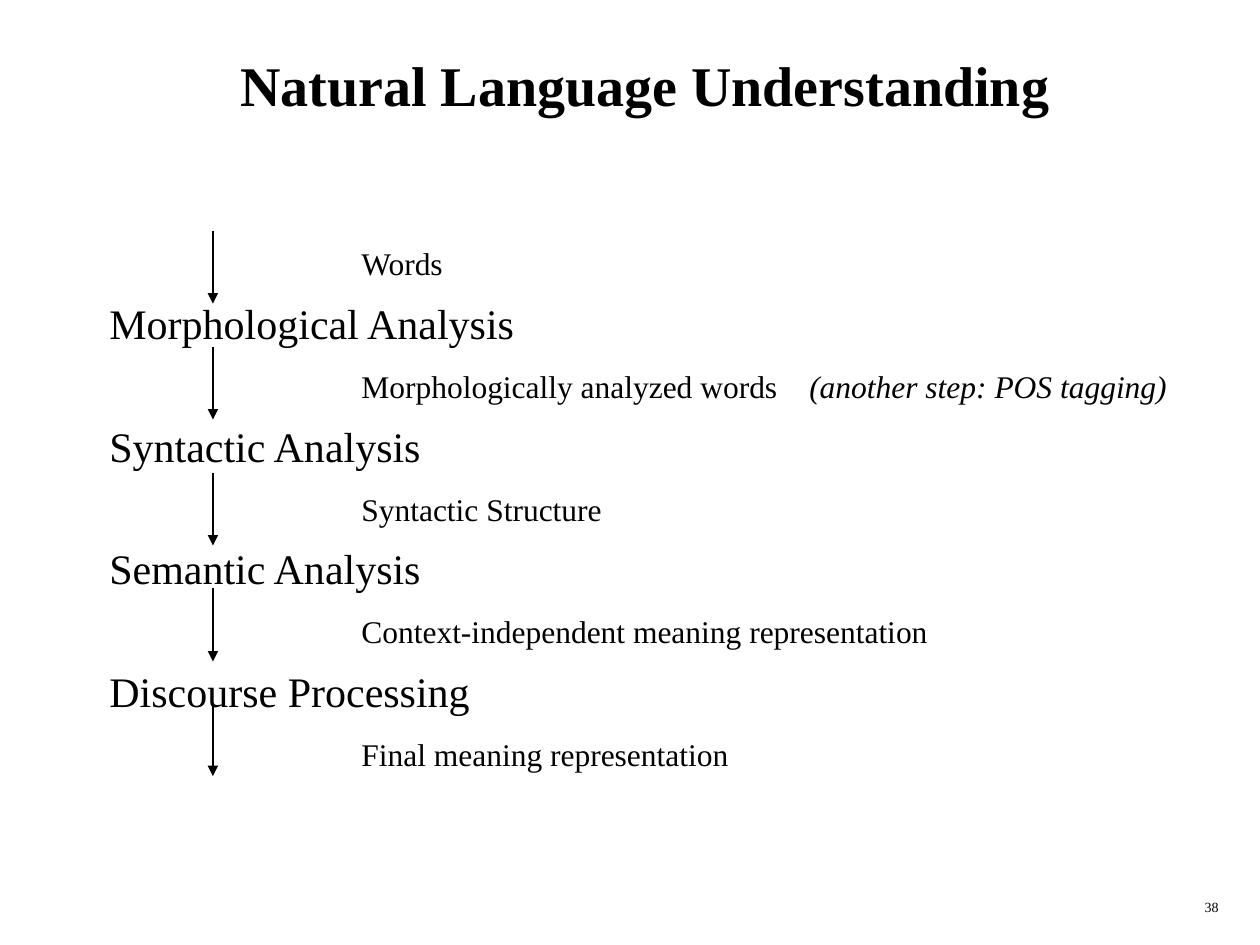
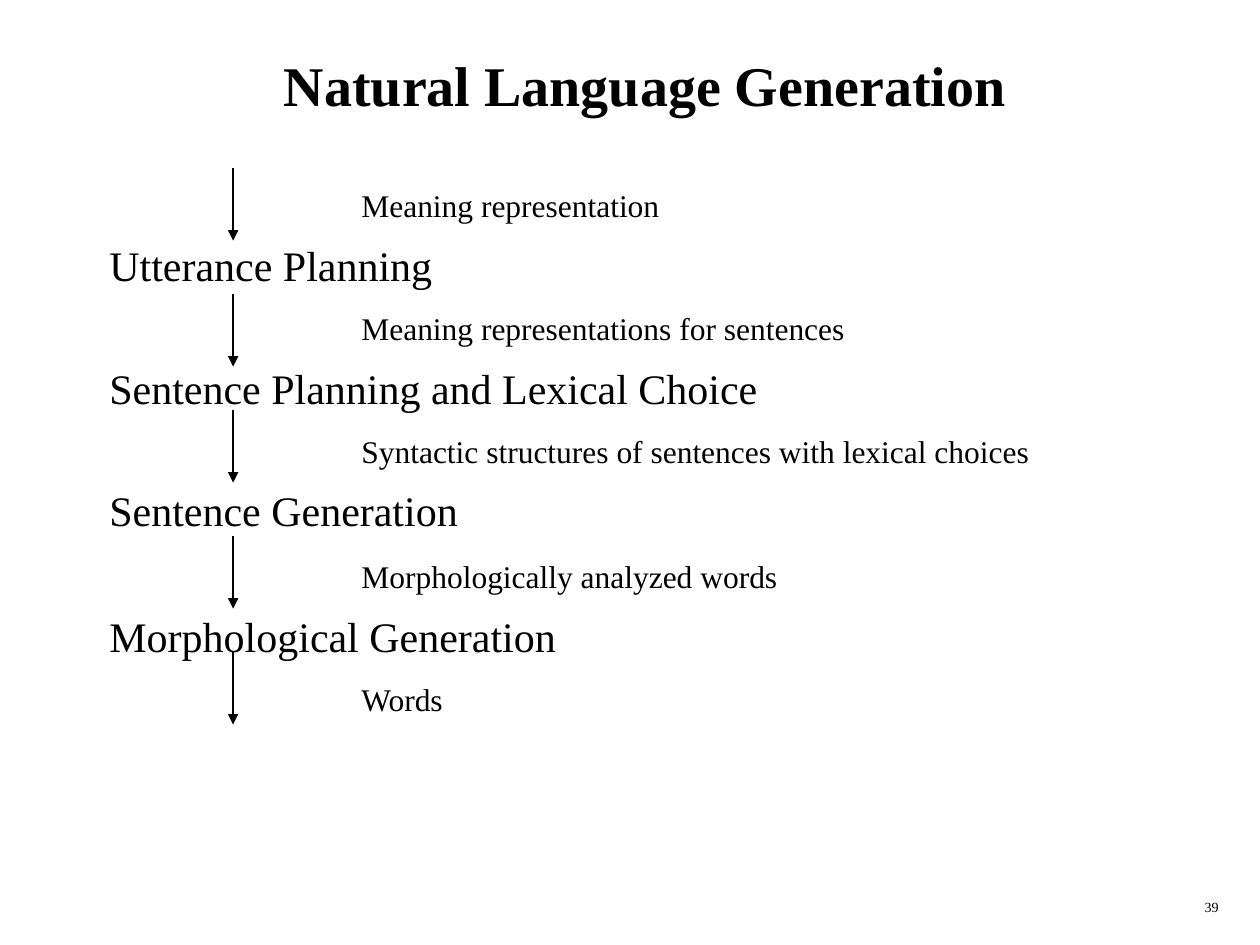
from lxml import etree
from pptx import Presentation
from pptx.dml.color import RGBColor
from pptx.enum.shapes import MSO_CONNECTOR
from pptx.enum.text import MSO_ANCHOR, MSO_AUTO_SIZE, PP_ALIGN
from pptx.oxml.ns import qn
from pptx.util import Inches, Pt

STRAIGHT = MSO_CONNECTOR.STRAIGHT
MIDDLE = MSO_ANCHOR.MIDDLE
NO_FIT = MSO_AUTO_SIZE.NONE
LEFT, CENTER, RIGHT = PP_ALIGN.LEFT, PP_ALIGN.CENTER, PP_ALIGN.RIGHT

FONT = "Times New Roman"
INK, PAPER = "000000", "FFFFFF"
TITLE_BOX = (0.39, 0.17, 9.46, 1)
BODY_BOX = (0.39, 1.33, 9.46, 5.58)
PAGE_BOX = (7.69, 7.08, 2.08, 0.25)
ARROW_LEN = 0.58

# Size, left indent in inches, and space before in points
STAGE = (24, 0.38, 8.7)
DATA = (18, 2.38, 11)

# Steps alternate: data, stage, data, ... A pair adds an italic remark.
SLIDES = [
    {
        "title": "Natural Language Understanding",
        "page": "38",
        "inset": 0.61,
        "steps": [
            "Words",
            "Morphological Analysis",
            ("Morphologically analyzed words", "(another step: POS tagging)"),
            "Syntactic Analysis",
            "Syntactic Structure",
            "Semantic Analysis",
            "Context-independent meaning representation",
            "Discourse Processing",
            "Final meaning representation",
        ],
        "extra": {},
        "arrow_x": 1.69,
        "arrow_tops": [1.83, 2.75, 3.75, 4.67, 5.58],
    },
    {
        "title": "Natural Language Generation",
        "page": "39",
        "inset": 0.15,
        "steps": [
            "Meaning representation",
            "Utterance Planning",
            "Meaning representations for sentences",
            "Sentence Planning and Lexical Choice",
            "Syntactic structures of sentences with lexical choices",
            "Sentence Generation",
            "Morphologically analyzed words",
            "Morphological Generation",
            "Words",
        ],
        "extra": {6: 1.5},
        "arrow_x": 1.85,
        "arrow_tops": [1.33, 2.33, 3.25, 4.25, 5.17],
    },
]


def color(code):
    return RGBColor.from_string(code)


def add_run(para, text, size, bold=False, italic=False):
    run = para.add_run()
    run.text = text
    font = run.font
    font.name, font.size = FONT, Pt(size)
    font.bold, font.italic = bold, italic
    font.color.rgb = color(INK)
    return run


def add_box(slide, box):
    frame = slide.shapes.add_textbox(*map(Inches, box)).text_frame
    frame.word_wrap = True
    return frame


def add_title(slide, text):
    title = slide.shapes.title
    title.left, title.top, title.width, title.height = map(Inches, TITLE_BOX)
    frame = title.text_frame
    frame.auto_size = NO_FIT
    frame.vertical_anchor = MIDDLE
    para = frame.paragraphs[0]
    para.alignment = CENTER
    add_run(para, text, 32, bold=True)


def add_page(slide, number):
    para = add_box(slide, PAGE_BOX).paragraphs[0]
    para.alignment = RIGHT
    add_run(para, number, 8)


def add_steps(slide, steps, inset, extra):
    frame = add_box(slide, BODY_BOX)
    frame.margin_top = Inches(inset)
    for i, step in enumerate(steps):
        size, indent, gap = STAGE if i % 2 else DATA
        para = frame.add_paragraph() if i else frame.paragraphs[0]
        para.alignment = LEFT
        para.space_before = Pt(gap + extra.get(i, 0) if i else 0)
        para._p.get_or_add_pPr().set("marL", str(Inches(indent)))
        text, remark = step if isinstance(step, tuple) else (step, None)
        add_run(para, text, size)
        if remark:
            space = add_run(para, " ", size)
            space.font._element.set("spc", "1350")
            add_run(para, remark, size, italic=True)


def add_arrow(slide, x, top):
    arrow = slide.shapes.add_connector(
        STRAIGHT, Inches(x), Inches(top), Inches(x), Inches(top + ARROW_LEN))
    arrow.line.color.rgb = color(INK)
    arrow.line.width = Pt(0.75)
    etree.SubElement(arrow.line._get_or_add_ln(), qn("a:tailEnd"), type="triangle")
    etree.SubElement(arrow._element.spPr, qn("a:effectLst"))


def main():
    deck = Presentation()
    deck.slide_width, deck.slide_height = Inches(10), Inches(7.5)
    for item in SLIDES:
        slide = deck.slides.add_slide(deck.slide_layouts.get_by_name("Title Only"))
        fill = slide.background.fill
        fill.solid()
        fill.fore_color.rgb = color(PAPER)
        add_page(slide, item["page"])
        add_title(slide, item["title"])
        add_steps(slide, item["steps"], item["inset"], item["extra"])
        for top in item["arrow_tops"]:
            add_arrow(slide, item["arrow_x"], top)
    deck.save("out.pptx")


if __name__ == "__main__":
    main()
